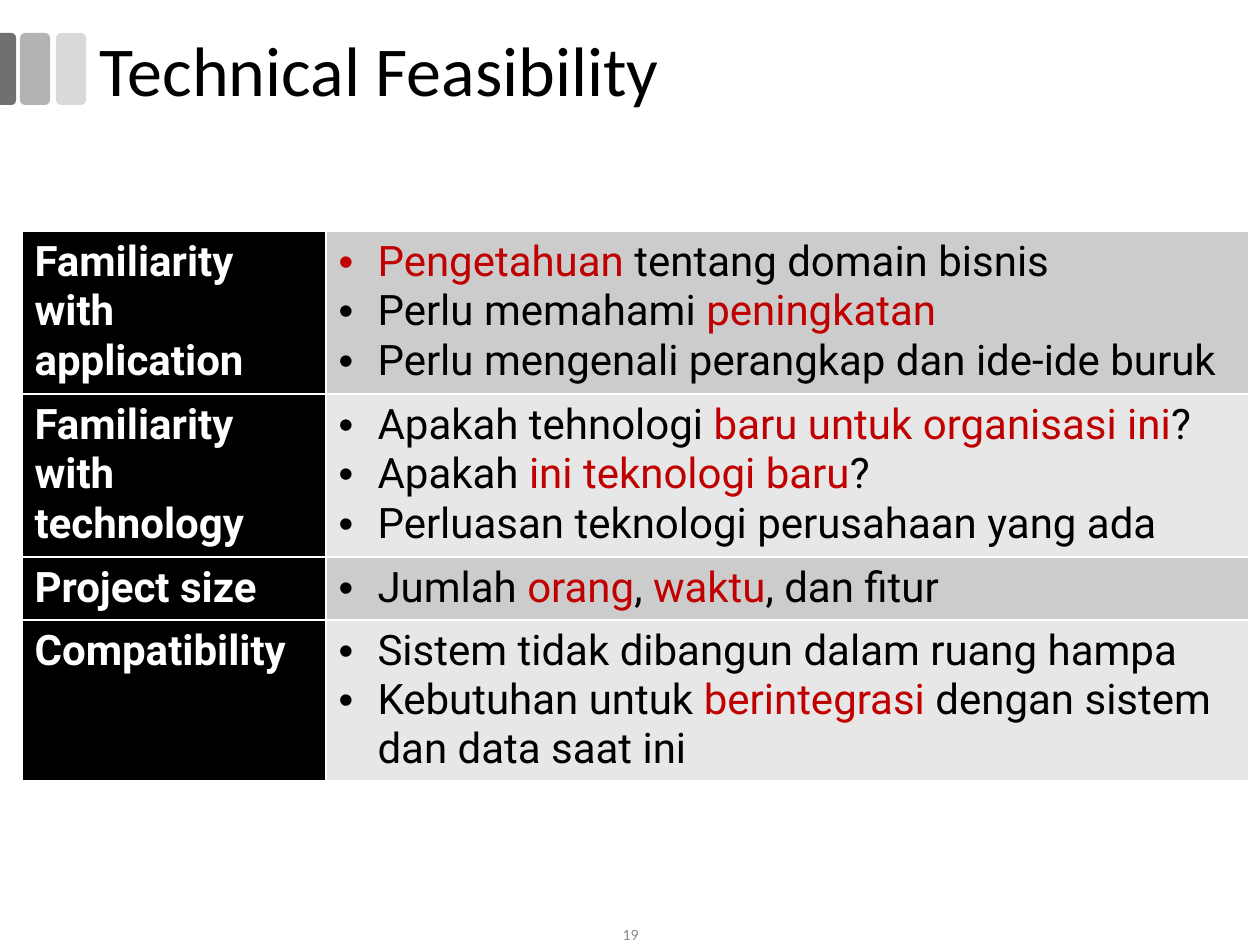
from lxml import etree
from pptx import Presentation
from pptx.dml.color import RGBColor
from pptx.enum.shapes import MSO_SHAPE
from pptx.enum.text import MSO_ANCHOR, PP_ALIGN
from pptx.oxml.ns import qn
from pptx.util import Emu, Pt

PX = 914400 / 126
BLACK = RGBColor(0x00, 0x00, 0x00)
WHITE = RGBColor(0xFF, 0xFF, 0xFF)
RED = RGBColor(0xC0, 0x00, 0x00)
GRAY = RGBColor(0x8C, 0x8C, 0x8C)
BAR_DARK = RGBColor(0x70, 0x70, 0x70)
BAR_MID = RGBColor(0xB3, 0xB3, 0xB3)
BAR_LIGHT = RGBColor(0xD9, 0xD9, 0xD9)
BANDS = (RGBColor(0xCC, 0xCC, 0xCC), RGBColor(0xE7, 0xE7, 0xE7))
ROUNDED = MSO_SHAPE.ROUNDED_RECTANGLE
ROUNDED_TOP = MSO_SHAPE.ROUND_2_SAME_RECTANGLE
LEFT, CENTER = PP_ALIGN.LEFT, PP_ALIGN.CENTER
MIDDLE = MSO_ANCHOR.MIDDLE

COLUMNS = (304, 923)
ROWS = (
    (163, "Familiarity with application", (
        "*Pengetahuan *tentang domain bisnis",
        "Perlu memahami *peningkatan*",
        "Perlu mengenali perangkap dan ide-ide buruk")),
    (163, "Familiarity with technology", (
        "Apakah tehnologi *baru untuk organisasi ini*?",
        "Apakah *ini teknologi baru*?",
        "Perluasan teknologi perusahaan yang ada")),
    (63, "Project size", ("Jumlah *orang*, *waktu*, dan fitur",)),
    (160, "Compatibility", (
        "Sistem tidak dibangun dalam ruang hampa",
        "Kebutuhan untuk *berintegrasi *dengan sistem dan data saat ini")),
)


def px(length):
    """Turn a length in px into EMU."""
    return Emu(round(length * PX))


def add_bullet(para, indent):
    """Give a paragraph a round bullet with a hanging indent."""
    properties = para._p.get_or_add_pPr()
    properties.set("marL", str(px(indent)))
    properties.set("indent", str(-px(indent)))
    etree.SubElement(properties, qn("a:buFont"), typeface="Arial")
    etree.SubElement(properties, qn("a:buChar"), char="•")


def write_text(frame, lines, *, font, size, color, bold=False, align=LEFT,
               spacing=None, bullets=False):
    """Write lines into a text frame, with parts between asterisks in red."""
    for number, line in enumerate(lines):
        para = frame.add_paragraph() if number else frame.paragraphs[0]
        para.alignment = align
        if spacing:
            para.line_spacing = spacing
        if bullets:
            add_bullet(para, 39)
        for index, part in enumerate(line.split("*")):
            if part:
                span = para.add_run()
                span.text = part
                span.font.name = font
                span.font.size = Pt(size)
                span.font.bold = bold
                span.font.color.rgb = RED if index % 2 else color


def add_text(page, text, left, top, width, height, *, inset=0, **style):
    """Add a vertically centred text box."""
    box = page.shapes.add_textbox(px(left), px(top), px(width), px(height))
    frame = box.text_frame
    frame.word_wrap = True
    frame.vertical_anchor = MIDDLE
    frame.margin_left = frame.margin_right = px(inset)
    frame.margin_top = frame.margin_bottom = 0
    write_text(frame, [text], **style)


def add_bar(page, kind, color, left, top, width, height, rotation=0):
    """Add one plain bar of the title ornament."""
    bar = page.shapes.add_shape(kind, px(left), px(top), px(width), px(height))
    bar.rotation = rotation
    bar.shadow.inherit = False
    bar.fill.solid()
    bar.fill.fore_color.rgb = color
    bar.line.fill.background()
    return bar


def style_cell(cell, color):
    """Fill a cell and give it thin white borders."""
    cell.fill.solid()
    cell.fill.fore_color.rgb = color
    properties = cell._tc.get_or_add_tcPr()
    for index, side in enumerate(("lnL", "lnR", "lnT", "lnB")):
        border = etree.Element(qn(f"a:{side}"), w=str(Pt(1)))
        fill = etree.SubElement(border, qn("a:solidFill"))
        etree.SubElement(fill, qn("a:srgbClr"), val=str(WHITE))
        properties.insert(index, border)


def add_criteria_table(page, left, top):
    """Add the table of feasibility criteria."""
    height = sum(row[0] for row in ROWS)
    table = page.shapes.add_table(len(ROWS), len(COLUMNS), px(left), px(top),
                                  px(sum(COLUMNS)), px(height)).table
    for column, width in zip(table.columns, COLUMNS):
        column.width = px(width)
    for index, (row_height, heading, points) in enumerate(ROWS):
        table.rows[index].height = px(row_height)
        label, details = table.rows[index].cells
        style_cell(label, BLACK)
        style_cell(details, BANDS[index % 2])
        write_text(label.text_frame, [heading], font="Roboto", size=24,
                   color=WHITE, bold=True)
        write_text(details.text_frame, points, font="Roboto", size=24,
                   color=BLACK, bullets=True)


def main():
    """Build the slide and save it."""
    deck = Presentation()
    deck.slide_width, deck.slide_height = px(1260), px(945)
    page = deck.slides.add_slide(deck.slide_layouts[6])
    add_bar(page, ROUNDED, BAR_LIGHT, 56, 33, 30, 72)
    add_bar(page, ROUNDED, BAR_MID, 20, 33, 30, 72)
    edge = add_bar(page, ROUNDED_TOP, BAR_DARK, -28, 61, 72, 16, rotation=90)
    edge.adjustments[0] = 0.29
    add_criteria_table(page, 22, 231)
    add_text(page, "Technical Feasibility", 87, 21, 1173, 105, inset=13,
             font="Calibri", size=40, color=BLACK, spacing=0.9)
    add_text(page, "19", 489, 924, 283, 21, font="Calibri", size=9,
             color=GRAY, align=CENTER)
    deck.save("out.pptx")


if __name__ == "__main__":
    main()
